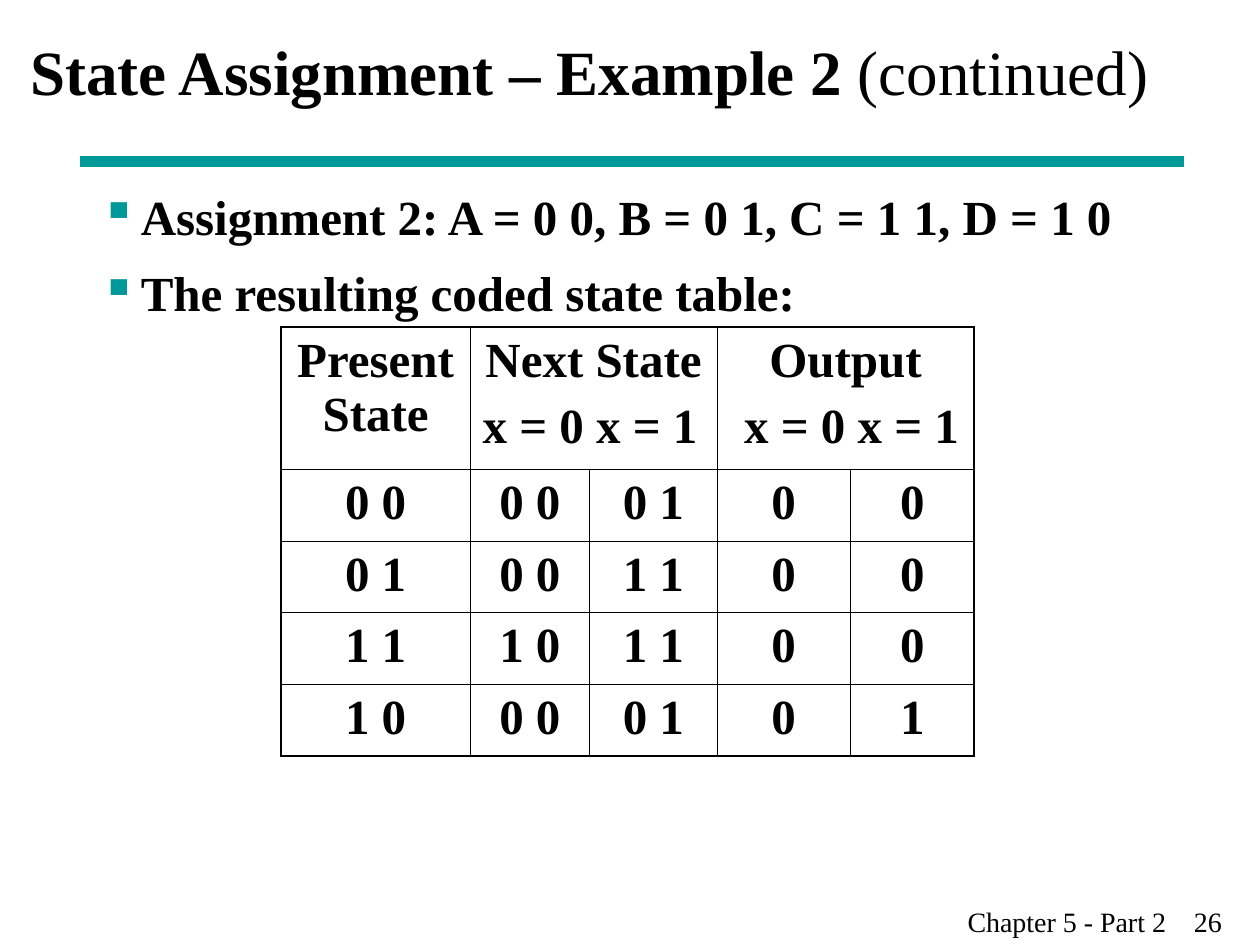
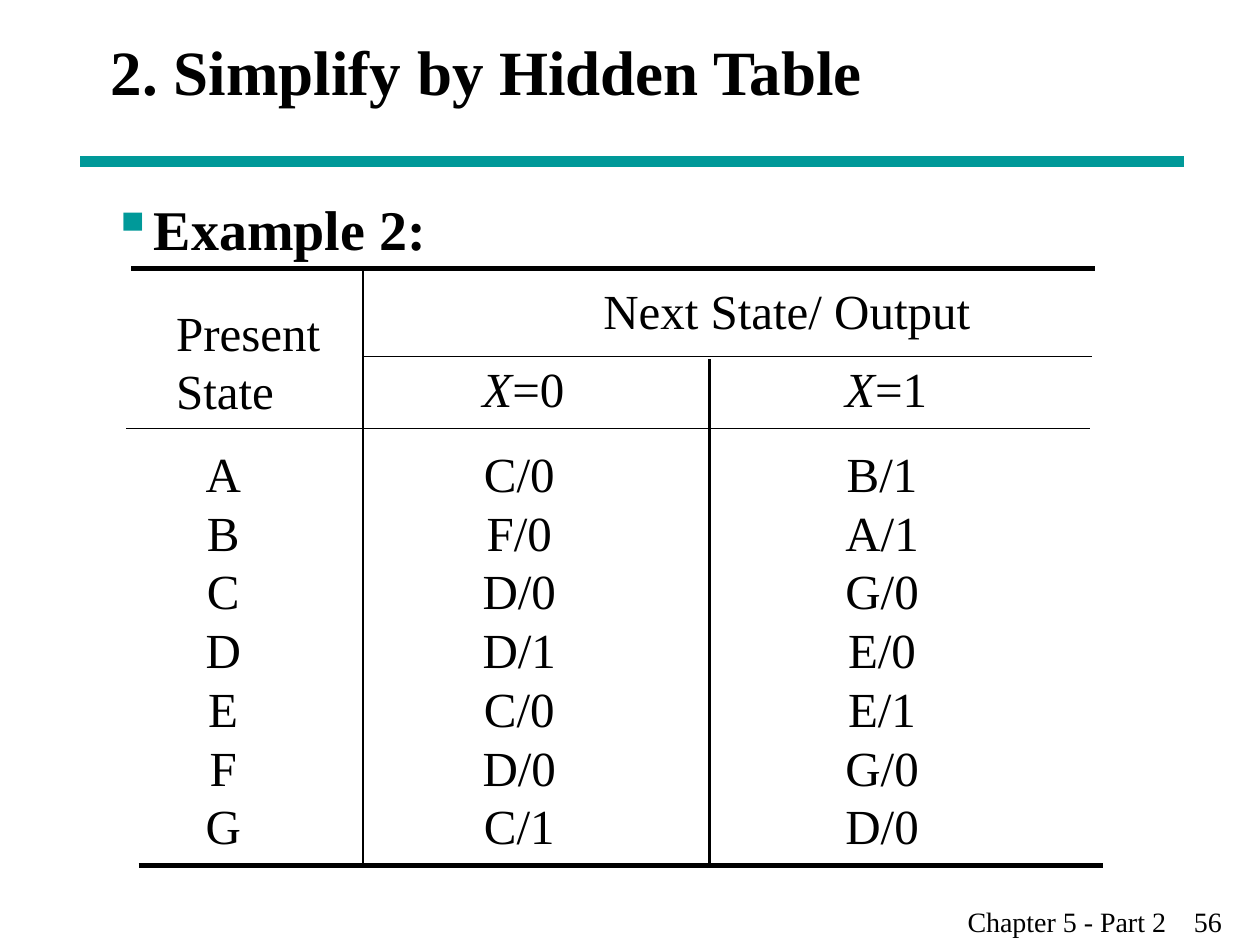
from dataclasses import dataclass

from lxml import etree
from pptx import Presentation
from pptx.dml.color import RGBColor
from pptx.enum import shapes, text
from pptx.oxml import ns
from pptx.util import Pt

FONT = "Times New Roman"
BLACK, TEAL = "000000", "009999"
LEFT, CENTER = text.PP_ALIGN.LEFT, text.PP_ALIGN.CENTER
LEADING = 1.2  # line pitch of labels, as a multiple of the font size
OUTER, INNER = 1.08, 0.45  # table border widths


@dataclass
class Box:
    left: float
    top: float
    width: float
    height: float


@dataclass
class Rule:
    x1: float
    y1: float
    x2: float
    y2: float
    weight: float
    color: str = BLACK


@dataclass
class Label:
    """Lines of text; a leading italic part may precede the first line."""
    box: Box
    lines: list[str]
    align: text.PP_ALIGN = LEFT
    italic: str = ""
    wrap: bool = False


def rgb(color: str) -> RGBColor:
    return RGBColor.from_string(color)


def add_xml(parent, tag: str, **attributes: str):
    return etree.SubElement(parent, ns.qn(tag), attributes)


def style(paragraph, size: float, bold: bool = False, align=LEFT) -> None:
    paragraph.alignment = align
    font = paragraph.font
    font.name, font.size, font.bold = FONT, Pt(size), bold
    font.color.rgb = rgb(BLACK)


def place(shape, box: Box) -> None:
    shape.left, shape.top = Pt(box.left), Pt(box.top)
    shape.width, shape.height = Pt(box.width), Pt(box.height)


def add_frame(slide, box: Box, wrap: bool = True):
    shape = slide.shapes.add_textbox(0, 0, 0, 0)
    place(shape, box)
    shape.text_frame.word_wrap = wrap
    return shape.text_frame


def paragraphs(frame, lines: list[str]):
    """Yield one paragraph per line, using the frame's first one first."""
    for index, line in enumerate(lines):
        paragraph = frame.add_paragraph() if index else frame.paragraphs[0]
        paragraph.add_run().text = line
        yield index, paragraph


def add_rule(slide, rule: Rule) -> None:
    line = slide.shapes.add_connector(
        shapes.MSO_CONNECTOR.STRAIGHT,
        Pt(rule.x1), Pt(rule.y1), Pt(rule.x2), Pt(rule.y2))
    line.line.color.rgb = rgb(rule.color)
    line.line.width = Pt(rule.weight)
    add_xml(line._element.spPr, "a:effectLst")


def add_label(slide, label: Label, size: float = 28) -> None:
    frame = add_frame(slide, label.box, label.wrap)
    if label.italic:
        frame.paragraphs[0].add_run().text = label.italic
        frame.paragraphs[0].runs[0].font.italic = True
    for _, paragraph in paragraphs(frame, label.lines):
        paragraph.line_spacing = Pt(size * LEADING)
        style(paragraph, size, align=label.align)


def add_bullets(slide, box: Box, lines: list[str], size: float, gap: float) -> None:
    for index, paragraph in paragraphs(add_frame(slide, box), lines):
        paragraph.line_spacing = 1.1
        if index:
            paragraph.space_before = Pt(gap)
        properties = paragraph._p.get_or_add_pPr()
        properties.set("marL", str(Pt(23)))
        properties.set("indent", str(Pt(-23)))
        add_xml(add_xml(properties, "a:buClr"), "a:srgbClr", val=TEAL)
        add_xml(properties, "a:buChar", char="▪")
        style(paragraph, size, bold=True)


def add_footer(slide, number: int) -> None:
    paragraph = add_frame(slide, Box(545.8, 513.4, 174.2, 26.6)).paragraphs[0]
    paragraph.add_run().text = f"Chapter 5 - Part 2\t{number}"
    paragraph.line_spacing = Pt(16 * LEADING)
    tabs = add_xml(paragraph._p.get_or_add_pPr(), "a:tabLst")
    add_xml(tabs, "a:tab", pos=str(Pt(129.3)), algn="l")
    style(paragraph, 16)


def add_slide(deck, title: str, title_box: Box, number: int, suffix: str = ""):
    """Add a slide with its title, teal rule and footer."""
    slide = deck.slides.add_slide(deck.slide_layouts[5])
    heading = slide.shapes.title
    place(heading, title_box)
    frame = heading.text_frame
    frame.vertical_anchor = text.MSO_ANCHOR.MIDDLE
    frame.auto_size = text.MSO_AUTO_SIZE.NONE
    paragraph = frame.paragraphs[0]
    paragraph.add_run().text = title
    if suffix:
        light = paragraph.add_run()
        light.text, light.font.bold = suffix, False
    paragraph.line_spacing = Pt(36 * LEADING)
    style(paragraph, 36, bold=True)
    add_rule(slide, Rule(46, 92.2, 676.8, 92.2, 6, TEAL))
    add_footer(slide, number)
    return slide


def set_borders(cell, widths: dict[str, float]) -> None:
    properties = cell._tc.get_or_add_tcPr()
    for position, (side, width) in enumerate(widths.items()):
        line = add_xml(properties, f"a:ln{side}", w=str(Pt(width)))
        add_xml(add_xml(line, "a:solidFill"), "a:srgbClr", val=BLACK)
        properties.insert(position, line)


def add_state_table(slide, box: Box, widths: list[float], heights: list[float],
                    rows: list[list[str]]) -> None:
    frame = slide.shapes.add_table(len(rows), len(widths), Pt(box.left), Pt(box.top),
                                   Pt(box.width), Pt(box.height))
    table = frame.table
    table.first_row = table.horz_banding = False
    for column, width in zip(table.columns, widths):
        column.width = Pt(width)
    for row, height in zip(table.rows, heights):
        row.height = Pt(height)
    for first in (1, 3):
        table.cell(0, first).merge(table.cell(0, first + 1))
    for r, row in enumerate(rows):
        for c, content in enumerate(row):
            cell = table.cell(r, c)
            cell.fill.background()
            if cell.is_spanned:
                continue
            end = c + (cell.span_width if cell.is_merge_origin else 1)
            set_borders(cell, {
                "L": INNER if c else OUTER,
                "R": OUTER if end == len(widths) else INNER,
                "T": INNER if r else OUTER,
                "B": OUTER if r == len(rows) - 1 else INNER})
            for index, paragraph in paragraphs(cell.text_frame, content.split("\n")):
                if index:
                    paragraph.space_before = Pt(7)
                style(paragraph, 28, bold=True, align=CENTER)
    table.cell(0, 1).text_frame.paragraphs[1].alignment = LEFT
    inputs = table.cell(0, 3).text_frame.paragraphs[1]
    inputs._p.get_or_add_pPr().set("marL", str(Pt(7)))


def build_assignment(deck) -> None:
    slide = add_slide(deck, "State Assignment – Example 2 ",
                      Box(10, 0, 659, 80.6), 26, suffix="(continued)")
    add_bullets(slide, Box(50.4, 99.4, 612, 140.4),
                ["Assignment 2: A = 0 0, B = 0 1, C = 1 1, D = 1 0",
                 "The resulting coded state table:"], 28, 7)
    add_state_table(
        slide, Box(160.6, 187, 396, 244.6),
        [108, 68.4, 72.7, 76.3, 70.6], [81.4] + [40.8] * 4,
        [["Present State", "Next State\nx = 0 x = 1", "", "Output\nx = 0 x = 1", ""],
         ["0 0", "0 0", "0 1", "0", "0"],
         ["0 1", "0 0", "1 1", "0", "0"],
         ["1 1", "1 0", "1 1", "0", "0"],
         ["1 0", "0 0", "0 1", "0", "1"]])


def build_hidden_table(deck) -> None:
    slide = add_slide(deck, "2. Simplify by Hidden Table",
                      Box(56.2, 0, 612, 80.6), 56)
    add_bullets(slide, Box(56.9, 103.7, 612, 396), ["Example 2:"], 32, 8)
    for rule in (
        Rule(74.9, 153.4, 625.7, 153.4, 3),
        Rule(79.2, 494.6, 630, 494.6, 3),
        Rule(207.4, 153.4, 207.4, 494.6, 1.5),
        Rule(405.4, 205.2, 405.4, 496, 1.5),
        Rule(207.4, 203.8, 624.2, 203.8, 1),
        Rule(72, 244.8, 622.8, 244.8, 1),
    ):
        add_rule(slide, rule)
    add_label(slide, Label(Box(93.6, 169.2, 100, 74.9), ["Present State"], wrap=True))
    add_label(slide, Label(Box(337.7, 157, 224, 41), ["Next State/ Output"]))
    for left, value in ((268.6, "=0"), (475.9, "=1")):
        add_label(slide, Label(Box(left, 201.6, 61.2, 41), [value], italic="X"))
    for left, width, entries in (
        (110.2, 34.6, "A B C D E F G"),
        (268.6, 56.2, "C/0 F/0 D/0 D/1 C/0 D/0 C/1"),
        (475.9, 56.2, "B/1 A/1 G/0 E/0 E/1 G/0 D/0"),
    ):
        add_label(slide, Label(Box(left, 249.8, width, 242.6), entries.split(), CENTER))


def main() -> None:
    deck = Presentation()
    deck.slide_width, deck.slide_height = Pt(720), Pt(540)
    build_assignment(deck)
    build_hidden_table(deck)
    deck.save("out.pptx")


if __name__ == "__main__":
    main()
